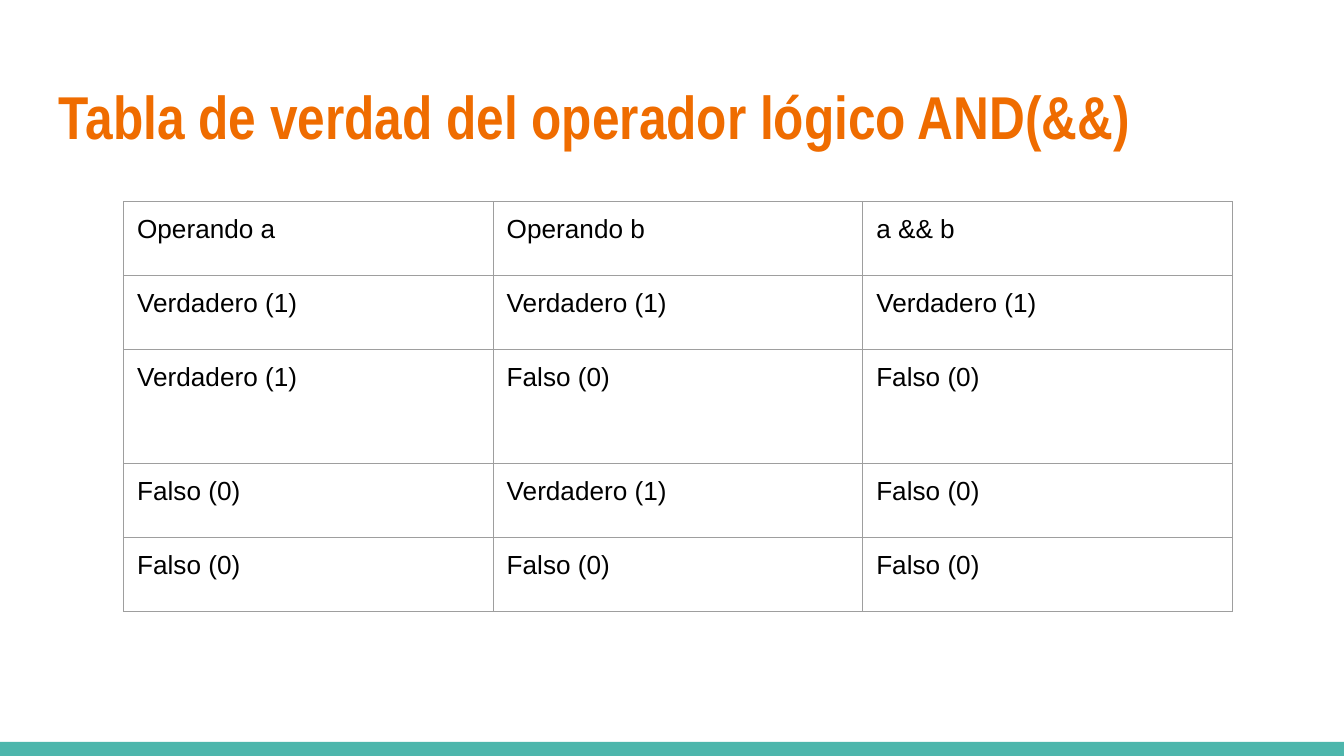
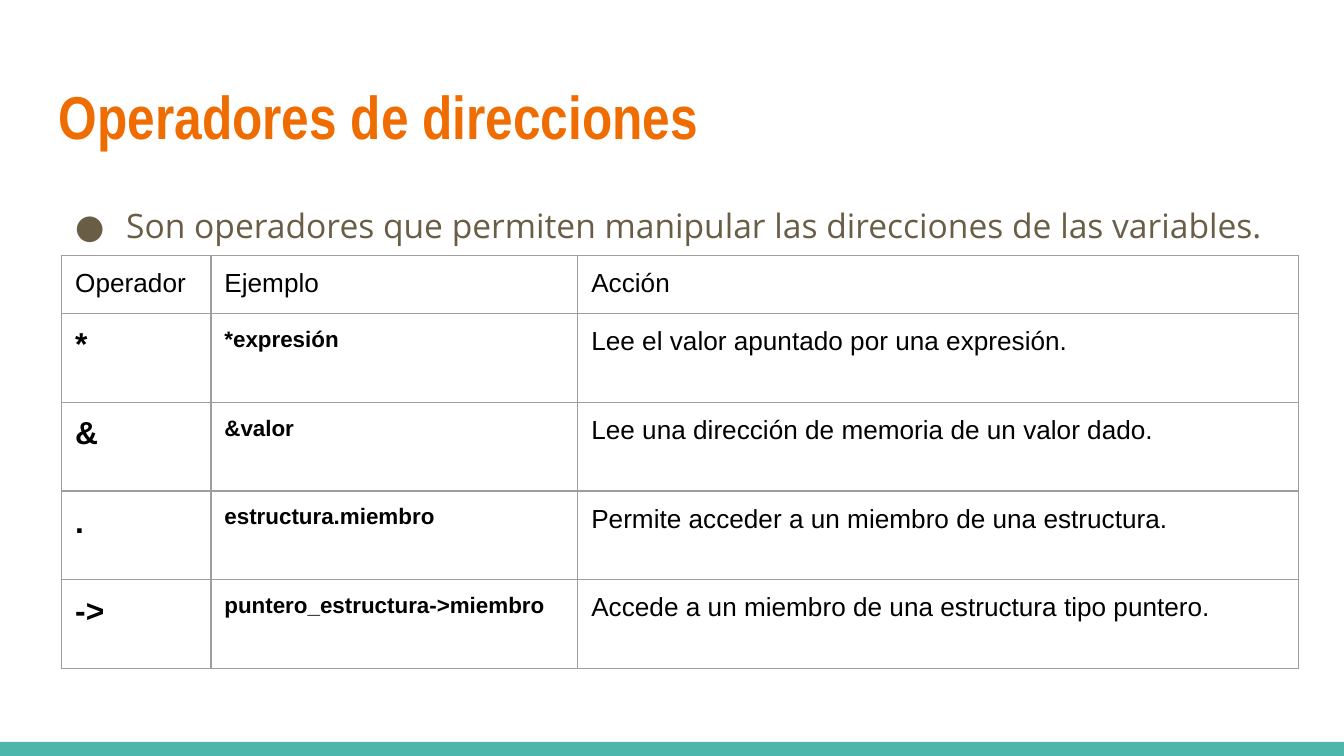
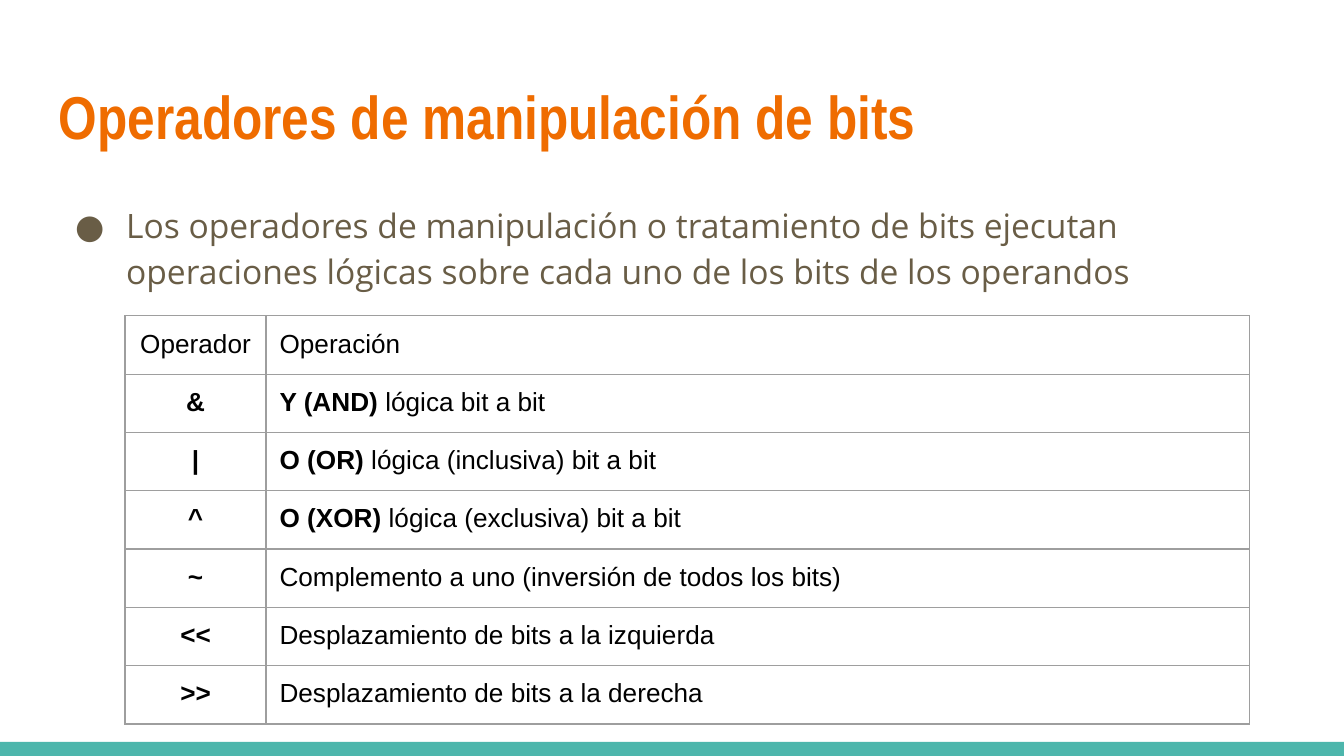
from dataclasses import dataclass

from lxml.etree import SubElement
from pptx import Presentation
from pptx.dml.color import RGBColor
from pptx.enum.shapes import MSO_SHAPE
from pptx.enum.text import MSO_ANCHOR, PP_ALIGN
from pptx.oxml import parse_xml
from pptx.oxml.ns import nsdecls, qn
from pptx.util import Inches, Pt


@dataclass(frozen=True)
class Theme:
    title_color: str = "EF6C00"
    body_color: str = "695D46"
    cell_color: str = "000000"
    border_color: str = "9E9E9E"
    band_color: str = "4DB6AC"
    background: str = "FFFFFF"
    title_font: str = "Arial Narrow"
    body_font: str = "Open Sans"
    cell_font: str = "Arial"
    title_size: float = 32.4
    body_size: float = 18
    cell_size: float = 14
    symbol_size: float = 17
    example_size: float = 12
    border_width: float = 0.75


THEME = Theme()
TEXT_LEFT, TEXT_WIDTH = 0.34, 9.32


@dataclass(frozen=True)
class Column:
    width: float
    size: float = THEME.cell_size
    bold: bool = False
    align: PP_ALIGN = PP_ALIGN.LEFT


def set_font(paragraph, name, size, color, bold=False):
    font = paragraph.font
    font.name = name
    font.size = Pt(size)
    font.bold = bold
    font.color.rgb = RGBColor.from_string(color)


def add_text_box(slide, top, height, text):
    shape = slide.shapes.add_textbox(
        Inches(TEXT_LEFT), Inches(top), Inches(TEXT_WIDTH), Inches(height))
    frame = shape.text_frame
    frame.word_wrap = True
    frame.vertical_anchor = MSO_ANCHOR.TOP
    frame.margin_left = frame.margin_right = Inches(0.1)
    frame.margin_top = frame.margin_bottom = Inches(0.1)
    frame.text = text
    return frame.paragraphs[0]


def add_base_slide(presentation, title):
    slide = presentation.slides.add_slide(presentation.slide_layouts[6])
    slide.background.fill.solid()
    slide.background.fill.fore_color.rgb = RGBColor.from_string(THEME.background)
    band = slide.shapes.add_shape(
        MSO_SHAPE.RECTANGLE, 0, Inches(5.52), presentation.slide_width, Inches(0.11))
    band.shadow.inherit = False
    band.fill.solid()
    band.fill.fore_color.rgb = RGBColor.from_string(THEME.band_color)
    band.line.fill.background()
    paragraph = add_text_box(slide, 0.49, 0.77, title)
    set_font(paragraph, THEME.title_font, THEME.title_size, THEME.title_color, True)
    return slide


def add_bullet(slide, text):
    paragraph = add_text_box(slide, 1.38, 3.61, text)
    paragraph.line_spacing = 1.15
    properties = paragraph._p.get_or_add_pPr()
    properties.set("marL", str(Inches(0.5)))
    properties.set("indent", str(Inches(-0.38)))
    bullet_color = SubElement(properties, qn("a:buClr"))
    SubElement(bullet_color, qn("a:srgbClr"), val=THEME.body_color)
    SubElement(properties, qn("a:buFont"), typeface=THEME.body_font)
    SubElement(properties, qn("a:buChar"), char="●")
    set_font(paragraph, THEME.body_font, THEME.body_size, THEME.body_color)


def set_borders(cell):
    properties = cell._tc.get_or_add_tcPr()
    for position, side in enumerate(("lnL", "lnR", "lnT", "lnB")):
        properties.insert(position, parse_xml(
            f'<a:{side} {nsdecls("a")} w="{Pt(THEME.border_width)}"><a:solidFill>'
            f'<a:srgbClr val="{THEME.border_color}"/></a:solidFill></a:{side}>'))


def fill_cell(cell, content, column, is_header):
    cell.fill.background()
    set_borders(cell)
    cell.margin_left = cell.margin_right = Inches(0.1)
    cell.margin_top = cell.margin_bottom = Inches(0.1)
    paragraph = cell.text_frame.paragraphs[0]
    paragraph.alignment = column.align
    size = THEME.cell_size if is_header else column.size
    set_font(paragraph, THEME.cell_font, size, THEME.cell_color,
             column.bold and not is_header)
    if isinstance(content, tuple):
        lead, rest = content
        run = paragraph.add_run()
        run.text = lead
        run.font.bold = True
        paragraph.add_run().text = rest
    else:
        paragraph.add_run().text = content


def add_grid(slide, left, top, columns, heights, rows):
    width = sum(column.width for column in columns)
    table = slide.shapes.add_table(
        len(rows), len(columns), Inches(left), Inches(top),
        Inches(width), Inches(sum(heights))).table
    table.first_row = table.horz_banding = False
    for table_column, column in zip(table.columns, columns):
        table_column.width = Inches(column.width)
    for row_index, (height, row) in enumerate(zip(heights, rows)):
        table.rows[row_index].height = Inches(height)
        for column_index, content in enumerate(row):
            fill_cell(table.cell(row_index, column_index), content,
                      columns[column_index], row_index == 0)


def add_truth_table_slide(presentation):
    slide = add_base_slide(presentation, "Tabla de verdad del operador lógico AND(&&)")
    names = {True: "Verdadero (1)", False: "Falso (0)"}
    rows = [("Operando a", "Operando b", "a && b")]
    for a in (True, False):
        for b in (True, False):
            rows.append((names[a], names[b], names[a and b]))
    add_grid(slide, 0.92, 1.5, [Column(2.75)] * 3, [0.55, 0.55, 0.85, 0.55, 0.55], rows)


def add_address_slide(presentation):
    slide = add_base_slide(presentation, "Operadores de direcciones")
    add_bullet(slide, "Son operadores que permiten manipular las direcciones de las variables.")
    columns = [Column(1.11, THEME.symbol_size, True),
               Column(2.73, THEME.example_size, True),
               Column(5.36)]
    rows = [
        ("Operador", "Ejemplo", "Acción"),
        ("*", "*expresión", "Lee el valor apuntado por una expresión."),
        ("&", "&valor", "Lee una dirección de memoria de un valor dado."),
        (".", "estructura.miembro", "Permite acceder a un miembro de una estructura."),
        ("->", "puntero_estructura->miembro",
         "Accede a un miembro de una estructura tipo puntero."),
    ]
    add_grid(slide, 0.46, 1.9, columns, [0.41] + [0.66] * 4, rows)


def add_bits_slide(presentation):
    slide = add_base_slide(presentation, "Operadores de manipulación de bits")
    add_bullet(slide, "Los operadores de manipulación o tratamiento de bits ejecutan "
                      "operaciones lógicas sobre cada uno de los bits de los operandos")
    columns = [Column(1.05, bold=True, align=PP_ALIGN.CENTER), Column(7.32)]
    rows = [
        ("Operador", "Operación"),
        ("&", ("Y (AND)", " lógica bit a bit")),
        ("|", ("O (OR)", " lógica (inclusiva) bit a bit")),
        ("^", ("O (XOR)", " lógica (exclusiva) bit a bit")),
        ("~", "Complemento a uno (inversión de todos los bits)"),
        ("<<", "Desplazamiento de bits a la izquierda"),
        (">>", "Desplazamiento de bits a la derecha"),
    ]
    add_grid(slide, 0.93, 2.35, columns, [0.43] * len(rows), rows)


def main():
    presentation = Presentation()
    presentation.slide_width = Inches(10)
    presentation.slide_height = presentation.slide_width * 9 // 16
    add_truth_table_slide(presentation)
    add_address_slide(presentation)
    add_bits_slide(presentation)
    presentation.save("out.pptx")


if __name__ == "__main__":
    main()
